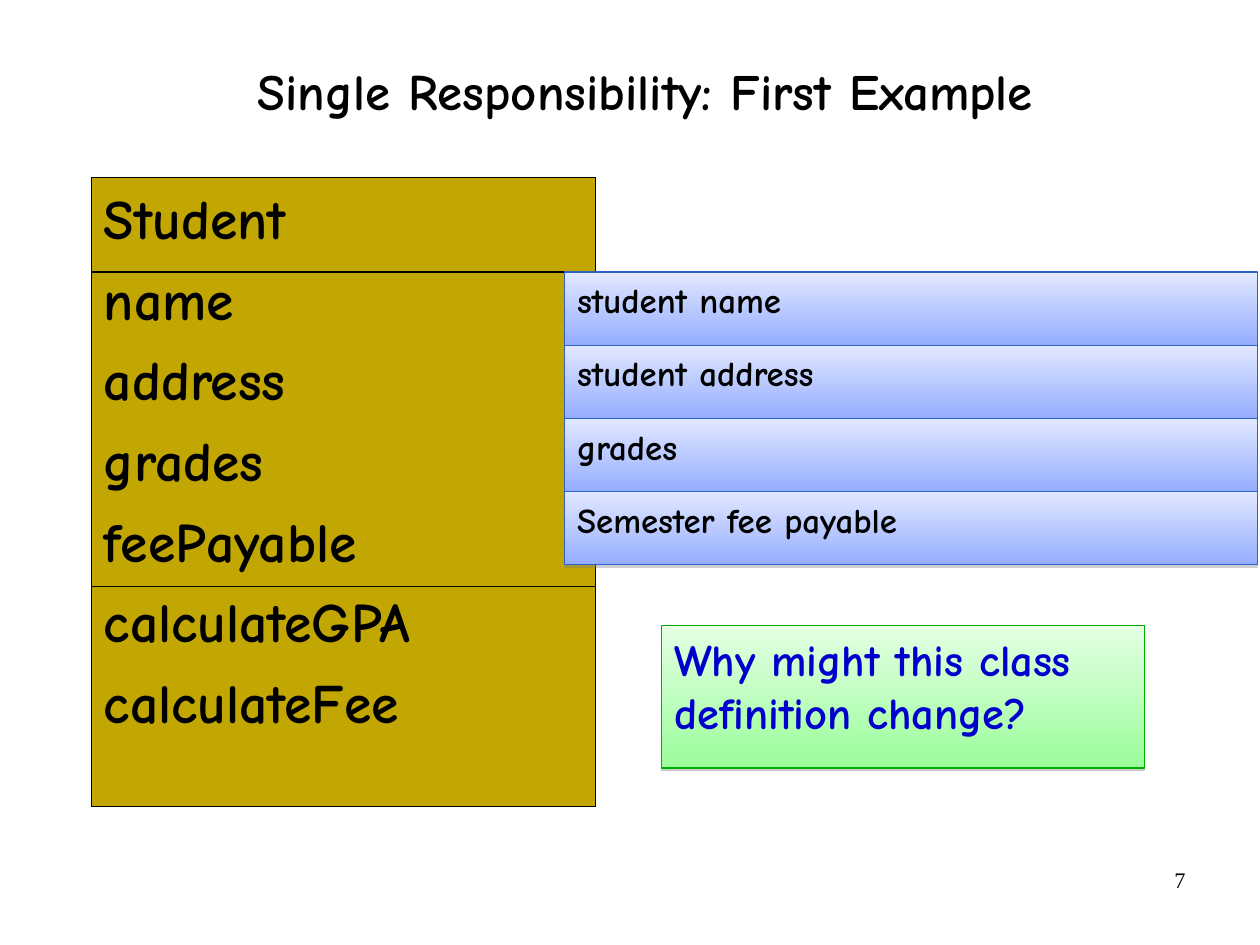
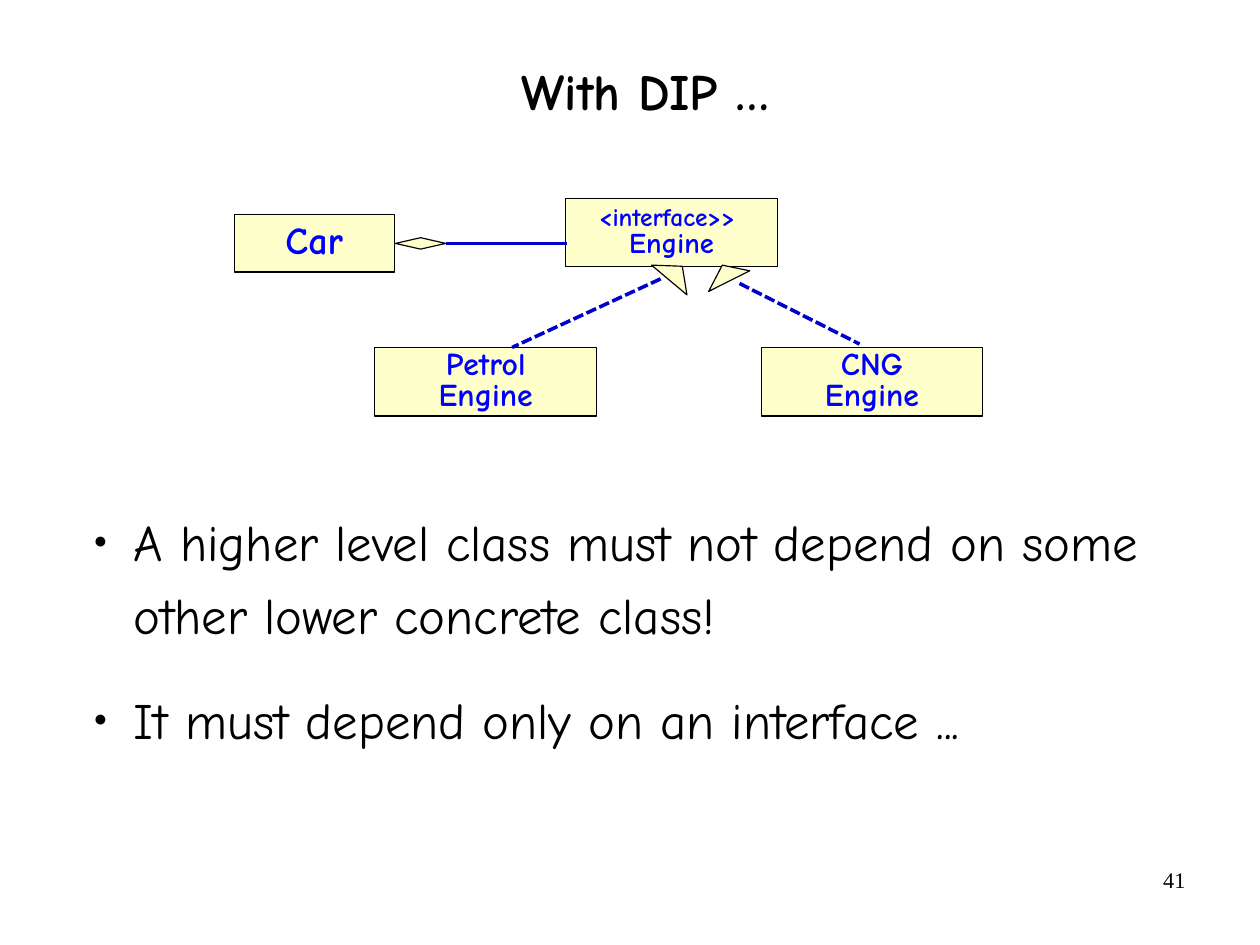
from itertools import cycle

from lxml import etree
from pptx import Presentation
from pptx.dml.color import RGBColor
from pptx.enum.dml import MSO_LINE
from pptx.enum.shapes import MSO_CONNECTOR, MSO_SHAPE
from pptx.enum.text import MSO_ANCHOR, PP_ALIGN
from pptx.oxml.ns import qn
from pptx.util import Inches, Pt

LEFT, CENTER, RIGHT = PP_ALIGN.LEFT, PP_ALIGN.CENTER, PP_ALIGN.RIGHT
TOP, MIDDLE = MSO_ANCHOR.TOP, MSO_ANCHOR.MIDDLE
RECT, DIAMOND = MSO_SHAPE.RECTANGLE, MSO_SHAPE.DIAMOND
STRAIGHT = MSO_CONNECTOR.STRAIGHT
SYS_DASH = MSO_LINE.SQUARE_DOT

BODY_FONT, NUMBER_FONT = "Comic Neue", "Times New Roman"
COLORS = {
    "black": "000000",
    "class": "C2A702",
    "uml": "FFFFCC",
    "uml text": "0000FF",
    "link": "0000CC",
    "shadow": "808080",
    "blue top": "E1E8FF",
    "blue bottom": "95ADFF",
    "blue line": "2E62CB",
    "green top": "E4FFE4",
    "green bottom": "9BFD9B",
    "green line": "00B000",
}


def color(name):
    return RGBColor.from_string(COLORS[name])


def add_bullet(paragraph):
    properties = paragraph._p.get_or_add_pPr()
    properties.set("marL", str(Inches(0.46)))
    properties.set("indent", str(Inches(-0.35)))
    bullet_color = etree.SubElement(properties, qn("a:buClr"))
    etree.SubElement(bullet_color, qn("a:srgbClr"), val=COLORS["black"])
    etree.SubElement(properties, qn("a:buSzPct"), val="45000")
    etree.SubElement(properties, qn("a:buFont"), typeface=NUMBER_FONT)
    etree.SubElement(properties, qn("a:buChar"), char="●")


def write(shape, text, sizes=(32,), ink="black", font=BODY_FONT, bold=True,
          align=LEFT, anchor=TOP, spacing=None, before=0, after=0,
          bullets=False, insets=(0.11, 0.06)):
    """Fill a shape with one paragraph per line; sizes repeat over the lines."""
    frame = shape.text_frame
    frame.word_wrap = True
    frame.vertical_anchor = anchor
    frame.margin_left = frame.margin_right = Inches(insets[0])
    frame.margin_top = frame.margin_bottom = Inches(insets[1])
    for i, (line, size) in enumerate(zip(text.split("\n"), cycle(sizes))):
        paragraph = frame.add_paragraph() if i else frame.paragraphs[0]
        if bullets:
            add_bullet(paragraph)
        paragraph.alignment = align
        if spacing:
            paragraph.line_spacing = spacing
        paragraph.space_before = Pt(before if i else 0)
        paragraph.space_after = Pt(after)
        run = paragraph.add_run()
        run.text = line
        run.font.name = font
        run.font.size = Pt(size)
        run.font.bold = bold
        run.font.color.rgb = color(ink)


class Deck:
    """Shared style and the slide being built."""

    def __init__(self):
        self.presentation = Presentation()
        # 28 by 21 cm
        self.presentation.slide_width = Inches(28 / 2.54)
        self.presentation.slide_height = Inches(21 / 2.54)
        self.shapes = None

    def new_slide(self, title, number):
        blank = self.presentation.slide_layouts[6]
        self.shapes = self.presentation.slides.add_slide(blank).shapes
        self.text(7.9, 7.53, 2.57, 0.57, number, sizes=(14,), bold=False,
                  font=NUMBER_FONT, align=RIGHT, insets=(0.1, 0.05))
        self.text(0.6, 0.55, 10.1, 0.55, title, align=CENTER, anchor=MIDDLE,
                  spacing=0.88)

    def text(self, x, y, w, h, text, **style):
        box = self.shapes.add_textbox(*map(Inches, (x, y, w, h)))
        write(box, text, **style)

    def outline(self, shape, fill, line="black"):
        shape.shadow.inherit = False
        shape.fill.solid()
        shape.fill.fore_color.rgb = color(fill)
        shape.line.color.rgb = color(line)
        shape.line.width = Pt(0.75)

    def box(self, x, y, w, h, text="", fill="uml", line="black", kind=RECT, **style):
        shape = self.shapes.add_shape(kind, *map(Inches, (x, y, w, h)))
        self.outline(shape, fill, line)
        if text:
            write(shape, text, **style)
        return shape

    def callout(self, x, y, w, h, text, hue, **style):
        """Box with a vertical gradient and a short hard shadow."""
        shape = self.box(x, y, w, h, text, line=hue + " line", **style)
        shape.fill.gradient()
        shape.fill.gradient_angle = 270
        places = (("top", 0), ("bottom", 1))
        for stop, (place, position) in zip(shape.fill.gradient_stops, places):
            stop.color.rgb = color(f"{hue} {place}")
            stop.position = position
        effects = shape._element.spPr.find(qn("a:effectLst"))
        shadow = etree.SubElement(effects, qn("a:outerShdw"), blurRad="0",
                                  dist=str(Pt(1.6)), dir="5400000", rotWithShape="0")
        tint = etree.SubElement(shadow, qn("a:srgbClr"), val=COLORS["shadow"])
        etree.SubElement(tint, qn("a:alpha"), val="38000")

    def uml_class(self, x, y, w, h, text, sizes):
        self.box(x, y, w, h, text, sizes=sizes, ink="uml text", align=CENTER,
                 anchor=MIDDLE, spacing=0.8, insets=(0.1, 0.05))

    def line(self, x1, y1, x2, y2, ink="black", width=0.75, dash=None):
        connector = self.shapes.add_connector(STRAIGHT, *map(Inches, (x1, y1, x2, y2)))
        connector.line.color.rgb = color(ink)
        connector.line.width = Pt(width)
        if dash:
            connector.line.dash_style = dash
        etree.SubElement(connector._element.spPr, qn("a:effectLst"))

    def triangle(self, *corners):
        points = [(Inches(x), Inches(y)) for x, y in corners]
        builder = self.shapes.build_freeform(*points[0])
        builder.add_line_segments(points[1:], close=True)
        self.outline(builder.convert_to_shape(), "uml")


def single_responsibility(deck):
    deck.new_slide("Single Responsibility: First Example", "7")

    # Student class with its compartments
    left, width = 0.8, 4.41
    members = ("Student\nname\naddress\ngrades\nfeePayable\n"
               "calculateGPA\ncalculateFee")
    deck.box(left, 1.55, width, 5.51, members, fill="class", sizes=(35,), before=8.8)
    for divider in (2.38, 5.13):
        deck.line(left, divider, left + width, divider)

    # Question and attribute meanings
    deck.callout(5.79, 5.47, 4.22, 1.25, "Why might this class definition change?",
                 "green", sizes=(28,), ink="link")
    meanings = ("student name", "student address", "grades", "Semester fee payable")
    row_height = 0.64
    for row, meaning in enumerate(meanings):
        deck.callout(4.94, 2.38 + row * row_height, 6.06, row_height, meaning,
                     "blue", sizes=(22,))


def dependency_inversion(deck):
    deck.new_slide("With DIP …", "41")

    # Rules
    deck.text(0.6, 4.3, 9.78, 2.58,
              "A higher level class must not depend on some other lower concrete class!\n"
              "It must depend only on an interface ...",
              bold=False, spacing=1.2, before=6, after=13.8, bullets=True)

    # Classes
    deck.uml_class(2.05, 1.88, 1.4, 0.5, "Car", (24,))
    deck.uml_class(4.95, 1.74, 1.85, 0.59, "<interface>> \nEngine", (16, 18))
    for x, fuel in ((3.28, "Petrol"), (6.66, "CNG")):
        deck.uml_class(x, 3.04, 1.94, 0.6, fuel + "\nEngine", (20,))

    # Aggregation
    deck.line(3.9, 2.13, 4.96, 2.13, "link", 2.25)
    deck.box(3.46, 2.08, 0.44, 0.1, kind=DIAMOND)

    # Realizations
    deck.triangle((5.7, 2.32), (5.97, 2.33), (6.01, 2.58))
    deck.line(5.78, 2.44, 4.48, 3.04, "link", 2.25, SYS_DASH)
    deck.triangle((6.32, 2.32), (6.56, 2.37), (6.2, 2.55))
    deck.line(6.47, 2.48, 7.52, 3.01, "link", 2.25, SYS_DASH)


def main():
    deck = Deck()
    single_responsibility(deck)
    dependency_inversion(deck)
    deck.presentation.save("out.pptx")


if __name__ == "__main__":
    main()
